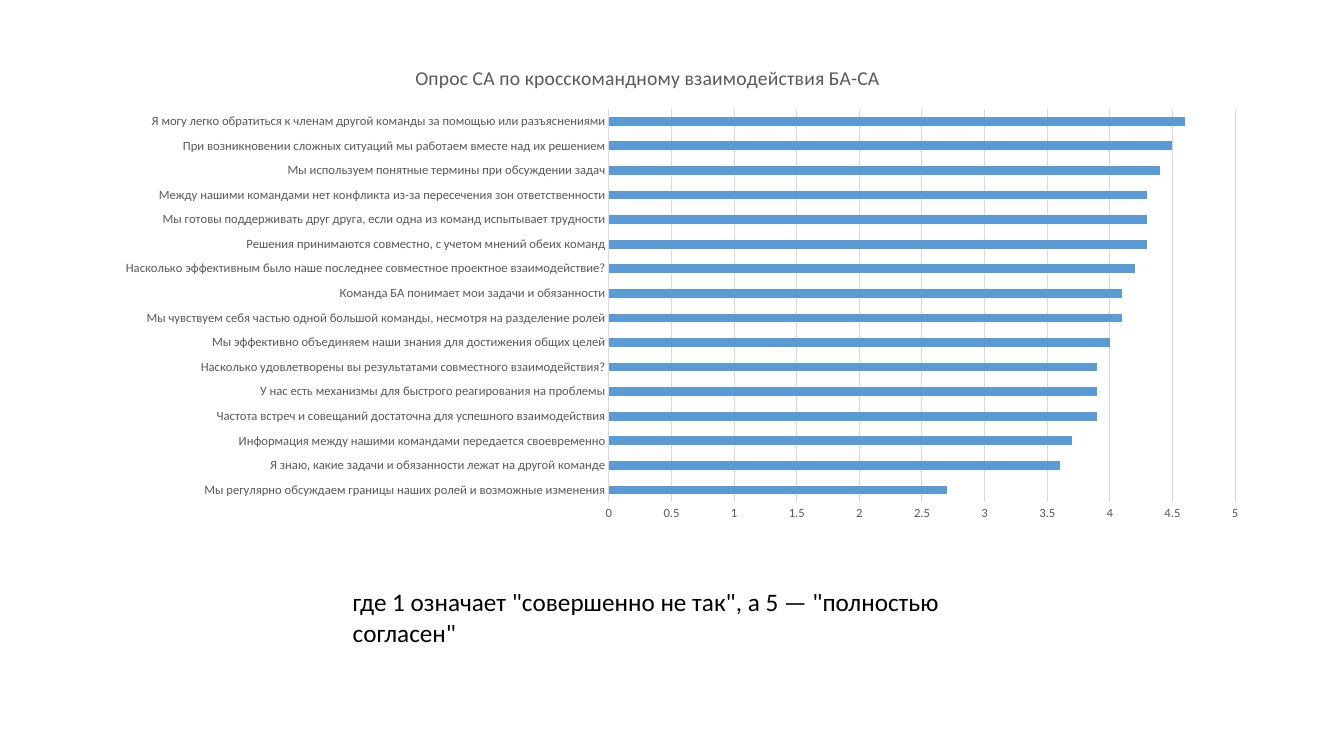
"""Build a slide with a horizontal bar chart of survey scores and a note on the scale."""
import dataclasses
import typing

import lxml.etree
import pptx
import pptx.chart.axis
import pptx.chart.chart
import pptx.chart.data
import pptx.dml.color
import pptx.enum.chart
import pptx.enum.text
import pptx.oxml
import pptx.oxml.ns
import pptx.slide
import pptx.util


@dataclasses.dataclass(frozen=True)
class Theme:
    font: str = "Calibri"
    ink: str = "000000"
    muted: str = "595959"
    rule: str = "D9D9D9"
    bar: str = "5B9BD5"
    title_size: float = 14
    base_size: float = 10
    axis_size: float = 9
    note_size: float = 18
    rule_width: float = 0.75


class Area(typing.NamedTuple):
    left: float
    top: float
    width: float
    height: float


class Score(typing.NamedTuple):
    statement: str
    value: float


THEME = Theme()
SLIDE_WIDTH = pptx.util.Inches(13.33)
SLIDE_HEIGHT = pptx.util.Inches(7.5)
CHART_AREA = Area(0.98 / 13.33, 0.51 / 7.5, 11.5 / 13.33, 4.76 / 7.5)
NOTE_AREA = Area(3.4 / 13.33, 5.77 / 7.5, 6.67 / 13.33, 0.71 / 7.5)
TITLE_SHARES = {"x": 0.27, "y": 0.02}
PLOT_SHARES = {"x": 0.44, "y": 0.12, "w": 0.54, "h": 0.82}

TITLE = "Опрос СА по кросскомандному взаимодействия БА-СА"
NOTE = 'где 1 означает "совершенно не так", а 5 — "полностью согласен"'
SCORES = [
    Score("Мы регулярно обсуждаем границы наших ролей и возможные изменения", 2.7),
    Score("Я знаю, какие задачи и обязанности лежат на другой команде", 3.6),
    Score("Информация между нашими командами передается своевременно", 3.7),
    Score("Частота встреч и совещаний достаточна для успешного взаимодействия", 3.9),
    Score("У нас есть механизмы для быстрого реагирования на проблемы", 3.9),
    Score("Насколько удовлетворены вы результатами совместного взаимодействия?", 3.9),
    Score("Мы эффективно объединяем наши знания для достижения общих целей", 4),
    Score("Мы чувствуем себя частью одной большой команды, несмотря на разделение ролей", 4.1),
    Score("Команда БА понимает мои задачи и обязанности", 4.1),
    Score("Насколько эффективным было наше последнее совместное проектное взаимодействие?", 4.2),
    Score("Решения принимаются совместно, с учетом мнений обеих команд", 4.3),
    Score("Мы готовы поддерживать друг друга, если одна из команд испытывает трудности", 4.3),
    Score("Между нашими командами нет конфликта из-за пересечения зон ответственности", 4.3),
    Score("Мы используем понятные термины при обсуждении задач", 4.4),
    Score("При возникновении сложных ситуаций мы работаем вместе над их решением", 4.5),
    Score("Я могу легко обратиться к членам другой команды за помощью или разъяснениями", 4.6),
]


def apply_format(target: typing.Any, values: dict[str, typing.Any]) -> None:
    for name, value in values.items():
        setattr(target, name, value)


def style_font(font: typing.Any, size: float, color: str) -> None:
    apply_format(font, {"name": THEME.font, "size": pptx.util.Pt(size), "bold": False})
    font.color.rgb = pptx.dml.color.RGBColor.from_string(color)


def style_rule(line: typing.Any) -> None:
    line.color.rgb = pptx.dml.color.RGBColor.from_string(THEME.rule)
    line.width = pptx.util.Pt(THEME.rule_width)


def frame(area: Area) -> tuple[int, int, int, int]:
    return (
        round(area.left * SLIDE_WIDTH),
        round(area.top * SLIDE_HEIGHT),
        round(area.width * SLIDE_WIDTH),
        round(area.height * SLIDE_HEIGHT),
    )


def place_in_chart(owner: typing.Any, shares: dict[str, float], inner: bool = False) -> None:
    tag = pptx.oxml.ns.qn
    for old in owner.findall(tag("c:layout")):
        owner.remove(old)
    layout = lxml.etree.Element(tag("c:layout"))
    manual = lxml.etree.SubElement(layout, tag("c:manualLayout"))
    settings = {"layoutTarget": "inner"} if inner else {}
    settings |= {"xMode": "edge", "yMode": "edge"}
    settings |= {name: str(share) for name, share in shares.items()}
    for name, value in settings.items():
        lxml.etree.SubElement(manual, tag(f"c:{name}")).set("val", value)
    text = owner.find(tag("c:tx"))
    if text is None:
        owner.insert(0, layout)
    else:
        text.addnext(layout)


def style_axes(chart: pptx.chart.chart.Chart) -> None:
    no_mark = pptx.enum.chart.XL_TICK_MARK.NONE
    for axis in (chart.category_axis, chart.value_axis):
        apply_format(axis, {"major_tick_mark": no_mark, "minor_tick_mark": no_mark})
        style_font(axis.tick_labels.font, THEME.axis_size, THEME.muted)
    chart.category_axis.has_major_gridlines = False
    style_rule(chart.category_axis.format.line)
    scale = {"minimum_scale": 0, "maximum_scale": 5, "major_unit": 0.5, "has_major_gridlines": True}
    apply_format(chart.value_axis, scale)
    chart.value_axis.format.line.fill.background()
    style_rule(chart.value_axis.major_gridlines.format.line)


def add_survey_chart(page: pptx.slide.Slide, area: Area, scores: list[Score]) -> None:
    data = pptx.chart.data.CategoryChartData(number_format="General")
    data.categories = [score.statement for score in scores]
    data.add_series("Series 1", [score.value for score in scores])
    kind = pptx.enum.chart.XL_CHART_TYPE.BAR_CLUSTERED
    chart = page.shapes.add_chart(kind, *frame(area), data).chart
    apply_format(chart, {"has_legend": False, "has_title": True})
    style_font(chart.font, THEME.base_size, THEME.ink)

    heading = chart.chart_title.text_frame
    heading.text = TITLE
    style_font(heading.paragraphs[0].runs[0].font, THEME.title_size, THEME.muted)
    chart.chart_title.include_in_layout = False

    plot = chart.plots[0]
    apply_format(plot, {"gap_width": 182, "vary_by_categories": False})
    fill = plot.series[0].format.fill
    fill.solid()
    fill.fore_color.rgb = pptx.dml.color.RGBColor.from_string(THEME.bar)
    style_axes(chart)

    root = chart.element
    place_in_chart(root.find(".//" + pptx.oxml.ns.qn("c:title")), TITLE_SHARES)
    place_in_chart(root.find(".//" + pptx.oxml.ns.qn("c:plotArea")), PLOT_SHARES, inner=True)


def add_note(page: pptx.slide.Slide, area: Area, text: str) -> None:
    box = page.shapes.add_textbox(*frame(area)).text_frame
    fit = pptx.enum.text.MSO_AUTO_SIZE.SHAPE_TO_FIT_TEXT
    apply_format(box, {"word_wrap": True, "auto_size": fit})
    span = box.paragraphs[0].add_run()
    span.text = text
    style_font(span.font, THEME.note_size, THEME.ink)


def main() -> None:
    deck = pptx.Presentation()
    apply_format(deck, {"slide_width": SLIDE_WIDTH, "slide_height": SLIDE_HEIGHT})
    page = deck.slides.add_slide(deck.slide_layouts[6])
    add_survey_chart(page, CHART_AREA, SCORES)
    add_note(page, NOTE_AREA, NOTE)
    deck.save("out.pptx")


if __name__ == "__main__":
    main()
